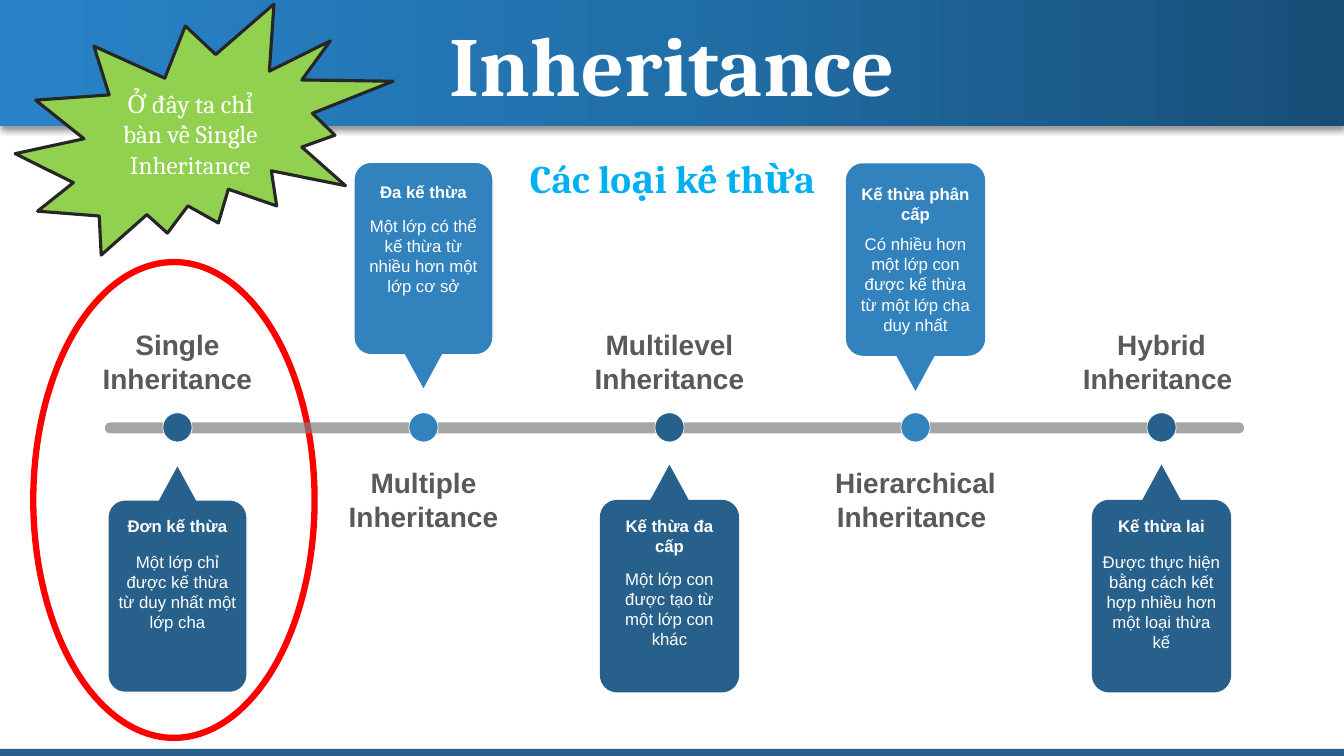
from collections import namedtuple

from pptx import Presentation
from pptx.dml.color import RGBColor
from pptx.enum.shapes import MSO_SHAPE as SHAPE
from pptx.enum.text import MSO_ANCHOR as ANCHOR, PP_ALIGN as ALIGN
from pptx.oxml import parse_xml
from pptx.oxml.ns import nsdecls, qn
from pptx.util import Inches, Pt

Box = namedtuple("Box", "left top width height")
Milestone = namedtuple("Milestone", "label name detail callout_top name_drop detail_drop above outlined")

DARK, BRIGHT, WHITE = "28608C", "3282BE", "FFFFFF"
FIRST_CENTER, STEP = 1.76, 2.44
CALLOUT_WIDTH, CALLOUT_HEIGHT, TIP_HEIGHT, TIP_HALF = 1.38, 2.26, 0.35, 0.19
CORNER, BEND = 0.17, 0.45
LABEL_WIDTH, LABEL_HEIGHT, DOT = 1.82, 0.77, 0.29

MILESTONES = [
    Milestone("Single Inheritance", "Đơn kế thừa",
              "Một lớp chỉ được kế thừa từ duy nhất một lớp cha", 4.61, 0.46, 0.81, False, True),
    Milestone("Multiple\nInheritance", "Đa kế thừa",
              "Một lớp có thể kế thừa từ nhiều hơn một lớp cơ sở", 1.61, 0.14, 0.48, True, True),
    Milestone("Multilevel\nInheritance", "Kế thừa đa cấp",
              "Một lớp con được tạo từ một lớp con khác", 4.61, 0.46, 0.98, False, False),
    Milestone("Hierarchical Inheritance ", "Kế thừa phân cấp",
              "Có nhiều hơn một lớp con được kế thừa từ một lớp cha duy nhất", 1.62, 0.15, 0.65, True, False),
    Milestone("Hybrid Inheritance ", "Kế thừa lai",
              "Được thực hiện bằng cách kết hợp nhiều hơn một loại thừa kế", 4.61, 0.46, 0.81, False, False),
]


def color(value):
    return RGBColor.from_string(value)


def paint(shape, fill, line=None, weight=1):
    shape.shadow.inherit = False
    shape.fill.solid()
    shape.fill.fore_color.rgb = color(fill)
    if line:
        shape.line.color.rgb = color(line)
        shape.line.width = Pt(weight)
    else:
        shape.line.fill.background()
    return shape


def add_figure(page, kind, box, fill, **outline):
    shape = page.shapes.add_shape(kind, *map(Inches, box))
    return paint(shape, fill, **outline)


def write(frame, text, size, font="Arial", fill=WHITE, bold=False):
    frame.word_wrap = True
    for index, line in enumerate(text.split("\n")):
        para = frame.paragraphs[0] if index == 0 else frame.add_paragraph()
        para.alignment = ALIGN.CENTER
        span = para.add_run()
        span.text = line
        span.font.size = Pt(size)
        span.font.name = font
        span.font.bold = bold
        span.font.color.rgb = color(fill)


def add_text(page, box, text, size, **style):
    write(page.shapes.add_textbox(*map(Inches, box)).text_frame, text, size, **style)


def callout_points(box, above):
    right, center = box.width, box.width / 2
    points = [(center, 0), (center + TIP_HALF, TIP_HEIGHT)]
    corners = [
        (right, TIP_HEIGHT, (-1, 0), (0, 1)),
        (right, box.height, (0, -1), (-1, 0)),
        (0, box.height, (1, 0), (0, -1)),
        (0, TIP_HEIGHT, (0, 1), (1, 0)),
    ]
    for x, y, entry, leave in corners:
        for (across, down), reach in ((entry, 1), (entry, BEND), (leave, BEND), (leave, 1)):
            points.append((x + across * CORNER * reach, y + down * CORNER * reach))
    points.append((center - TIP_HALF, TIP_HEIGHT))
    return [(Inches(box.left + x), Inches(box.top + (box.height - y if above else y)))
            for x, y in points]


def round_corners(shape):
    lines = list(shape._element.iter(qn("a:lnTo")))
    for first in range(2, 18, 4):
        curve = parse_xml(f'<a:cubicBezTo {nsdecls("a")}/>')
        lines[first].addprevious(curve)
        for line in lines[first:first + 3]:
            curve.append(line[0])
            line.getparent().remove(line)


def add_callout(page, box, milestone, fill):
    start, *rest = callout_points(box, milestone.above)
    builder = page.shapes.build_freeform(*start)
    builder.add_line_segments(rest, close=True)
    callout = builder.convert_to_shape()
    round_corners(callout)
    paint(callout, fill, line=WHITE if milestone.outlined else None)
    add_text(page, Box(box.left, box.top + milestone.name_drop, box.width, 0.3),
             milestone.name, 12, bold=True)
    add_text(page, Box(box.left, box.top + milestone.detail_drop, box.width, 0.91),
             milestone.detail, 12)


def add_milestone(page, center, axis, milestone):
    fill = BRIGHT if milestone.above else DARK
    add_figure(page, SHAPE.OVAL, Box(center - DOT / 2, axis - DOT / 2, DOT, DOT),
               fill, line=WHITE, weight=0.5)
    add_callout(page, Box(center - CALLOUT_WIDTH / 2, milestone.callout_top,
                          CALLOUT_WIDTH, CALLOUT_HEIGHT), milestone, fill)
    label_top = axis + 0.33 if milestone.above else axis - 1.04
    add_text(page, Box(center - LABEL_WIDTH / 2, label_top, LABEL_WIDTH, LABEL_HEIGHT),
             milestone.label, 20, fill="595959", bold=True)


def add_timeline(page, box):
    bar = add_figure(page, SHAPE.ROUNDED_RECTANGLE, box, "808080")
    bar.adjustments[0] = 0.5
    tint = bar._element.spPr.solidFill[0]
    tint.append(parse_xml(f'<a:alpha {nsdecls("a")} val="70000"/>'))
    for index, milestone in enumerate(MILESTONES):
        add_milestone(page, FIRST_CENTER + index * STEP, box.top + 0.05, milestone)


def add_header(page, box):
    band = add_figure(page, SHAPE.RECTANGLE, box, DARK)
    properties = band._element.spPr
    stops = "".join(f'<a:gs pos="{place}"><a:srgbClr val="{value}"/></a:gs>'
                    for place, value in ((0, "174E77"), (50000, "216FA9"), (100000, "2883C8")))
    gradient = parse_xml(f'<a:gradFill {nsdecls("a")} rotWithShape="1"><a:gsLst>{stops}</a:gsLst>'
                         '<a:lin ang="10800000" scaled="0"/></a:gradFill>')
    properties.replace(properties.solidFill, gradient)
    properties.effectLst.append(parse_xml(
        f'<a:outerShdw {nsdecls("a")} blurRad="{Pt(4)}" dist="{Pt(3)}" dir="5400000" algn="t" '
        'rotWithShape="0"><a:srgbClr val="000000"><a:alpha val="40000"/></a:srgbClr></a:outerShdw>'))
    add_text(page, Box(box.left, box.top + 0.07, box.width, 1.11), "Inheritance", 60,
             font="Cambria", bold=True)


def add_burst(page, box):
    burst = add_figure(page, SHAPE.EXPLOSION2, box, "92D050", line="262626", weight=2.25)
    burst.text_frame.vertical_anchor = ANCHOR.MIDDLE
    write(burst.text_frame, "Ở đây ta chỉ bàn về Single Inheritance", 18, font="Cambria")


def main():
    deck = Presentation()
    deck.slide_width, deck.slide_height = Inches(13.33), Inches(7.5)
    page = deck.slides.add_slide(deck.slide_layouts[6])
    add_figure(page, SHAPE.RECTANGLE, Box(0, 7.43, 13.33, 0.07), DARK)
    add_figure(page, SHAPE.OVAL, Box(0.33, 2.6, 2.79, 4.72), WHITE, line="FF0000", weight=4.5)
    add_timeline(page, Box(1.04, 4.19, 11.3, 0.11))
    add_header(page, Box(0, 0, 13.33, 1.25))
    add_text(page, Box(4.9, 1.48, 3.54, 0.57), "Các loại kế thừa", 28,
             font="Cambria", fill="00B0F0", bold=True)
    add_burst(page, Box(0.15, 0.04, 3.75, 2.49))
    deck.save("out.pptx")


if __name__ == "__main__":
    main()
